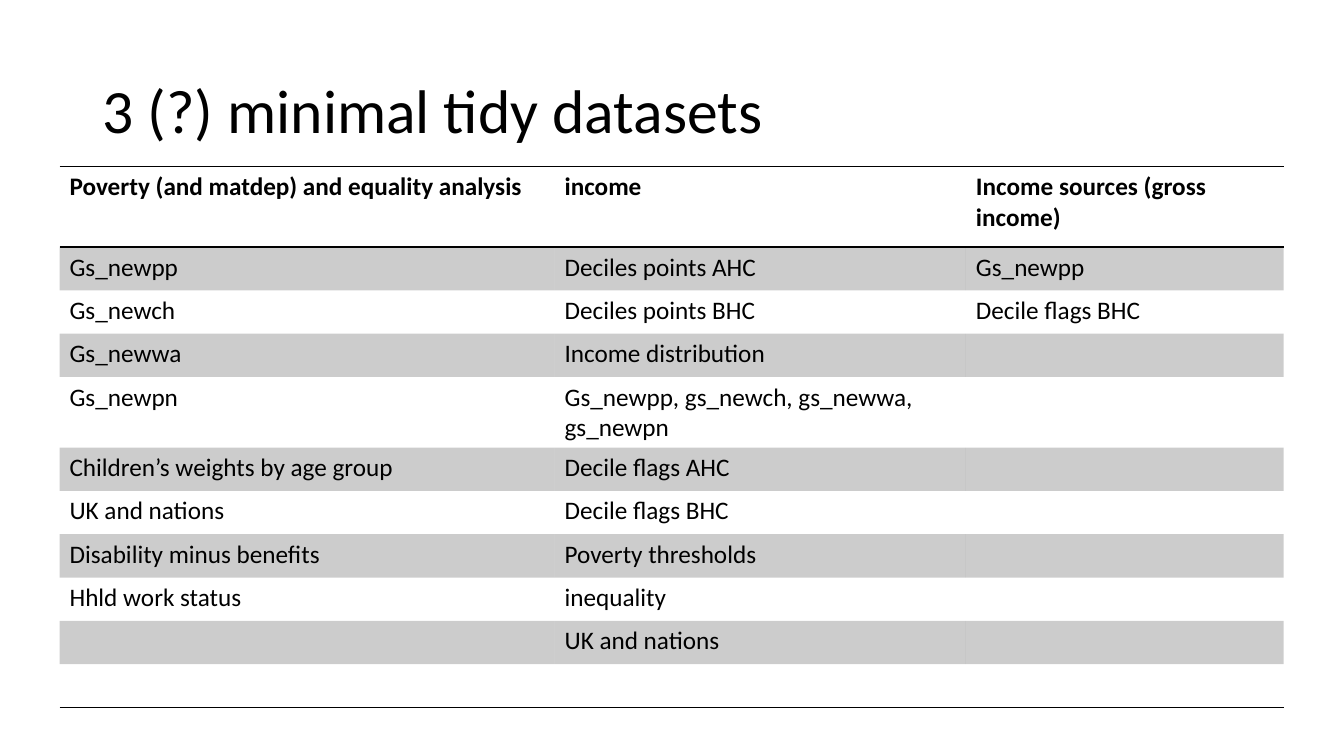
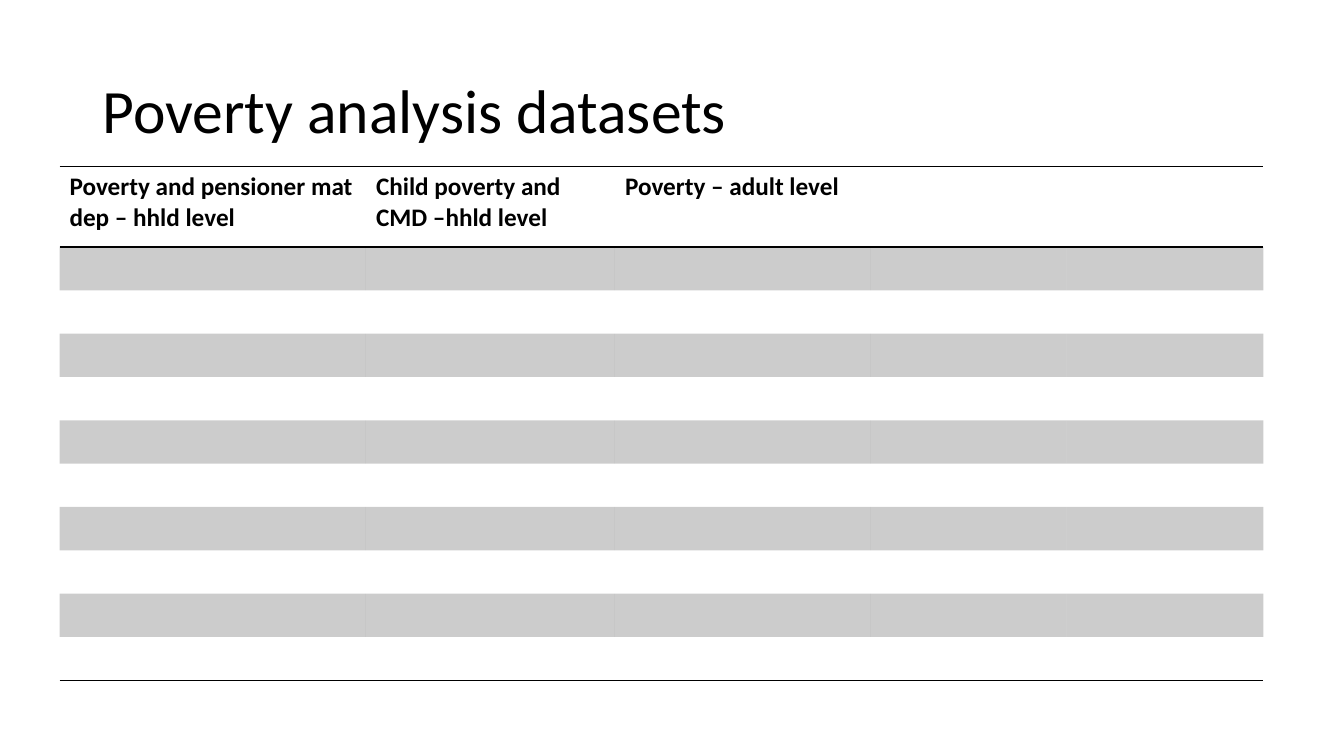
from itertools import zip_longest

from lxml.etree import SubElement
from pptx import Presentation
from pptx.dml.color import RGBColor
from pptx.enum.text import MSO_ANCHOR
from pptx.oxml import parse_xml
from pptx.oxml.ns import nsdecls, qn
from pptx.util import Inches, Pt

FONT = "Calibri"
INK = "000000"
BAND_OPACITY = 20
RULE_POINTS = 1
TITLE_BOX = (0.92, 0.4, 11.5, 1.45)
TABLE_LEFT, TABLE_TOP = 0.59, 1.65
HEADER_HEIGHT, ROW_HEIGHT = 0.8, 0.43
BODY_ROWS = 10
PLAIN_TABLE_STYLE = "{2D5ABB26-0587-4C30-8999-92F81FD0307C}"


def color(hex_string):
    """Turn a hex string into a colour."""
    return RGBColor.from_string(hex_string)


def add_text(paragraph, text, size, bold=False):
    """Add one run in the deck's font and ink."""
    run = paragraph.add_run()
    run.text = text
    run.font.name = FONT
    run.font.size = Pt(size)
    run.font.bold = bold
    run.font.color.rgb = color(INK)


def add_title(slide, text, box):
    """Place the slide title, centred vertically in its box."""
    frame = slide.shapes.add_textbox(*map(Inches, box)).text_frame
    frame.word_wrap = True
    frame.vertical_anchor = MSO_ANCHOR.MIDDLE
    heading = frame.paragraphs[0]
    heading.line_spacing = 0.9
    add_text(heading, text, 44)


def shade(cell):
    """Fill a cell with translucent ink."""
    cell.fill.solid()
    cell.fill.fore_color.rgb = color(INK)
    ink = cell._tc.tcPr.find(qn("a:solidFill"))[0]
    SubElement(ink, qn("a:alpha"), val=str(BAND_OPACITY * 1000))


def add_rules(cell, sides):
    """Draw rules on the given sides of a cell, T before B."""
    for position, side in enumerate(sides):
        rule = parse_xml(
            f'<a:ln{side} {nsdecls("a")} w="{Pt(RULE_POINTS)}"><a:solidFill>'
            f'<a:srgbClr val="{INK}"/></a:solidFill></a:ln{side}>')
        cell._tc.get_or_add_tcPr().insert(position, rule)


def add_dataset_table(slide, left, top, widths, headers, columns):
    """Place a banded table with a ruled header and a closing rule."""
    body_height = BODY_ROWS * ROW_HEIGHT
    table = slide.shapes.add_table(
        BODY_ROWS + 1, len(widths), Inches(left), Inches(top),
        Inches(sum(widths)), Inches(HEADER_HEIGHT + body_height)).table
    table._tbl.tblPr.find(qn("a:tableStyleId")).text = PLAIN_TABLE_STYLE
    for column, width in zip(table.columns, widths):
        column.width = Inches(width)

    entries = [headers, *zip_longest(*columns, fillvalue="")]
    for index, row in enumerate(table.rows):
        is_header = index == 0
        row.height = Inches(HEADER_HEIGHT if is_header else ROW_HEIGHT)
        texts = entries[index] if index < len(entries) else ()
        for cell, text in zip_longest(row.cells, texts, fillvalue=""):
            if index % 2:
                shade(cell)
            else:
                cell.fill.background()
            if is_header:
                add_rules(cell, "TB")
            elif index == BODY_ROWS:
                add_rules(cell, "B")
            if text:
                add_text(cell.text_frame.paragraphs[0], text, 18, is_header)


def add_dataset_slide(deck, title, widths, headers, columns=()):
    """Add a slide with a title above a dataset table."""
    slide = deck.slides.add_slide(deck.slide_layouts[6])
    add_title(slide, title, TITLE_BOX)
    add_dataset_table(slide, TABLE_LEFT, TABLE_TOP, widths, headers, columns)


deck = Presentation()
deck.slide_width, deck.slide_height = Inches(13.33), Inches(7.5)

add_dataset_slide(
    deck, "3 (?) minimal tidy datasets", [4.91, 4.08, 3.15],
    ["Poverty (and matdep) and equality analysis", "income",
     "Income sources (gross income)"],
    [
        ["Gs_newpp", "Gs_newch", "Gs_newwa", "Gs_newpn",
         "Children’s weights by age group", "UK and nations",
         "Disability minus benefits", "Hhld work status"],
        ["Deciles points AHC", "Deciles points BHC", "Income distribution",
         "Gs_newpp, gs_newch, gs_newwa, gs_newpn", "Decile flags AHC",
         "Decile flags BHC", "Poverty thresholds", "inequality",
         "UK and nations"],
        ["Gs_newpp", "Decile flags BHC"],
    ])

add_dataset_slide(
    deck, "Poverty analysis datasets", [3.04, 2.47, 2.53, 1.95, 1.95],
    ["Poverty and pensioner mat dep – hhld level",
     "Child poverty and CMD –hhld level", "Poverty – adult level"])

deck.save("out.pptx")
